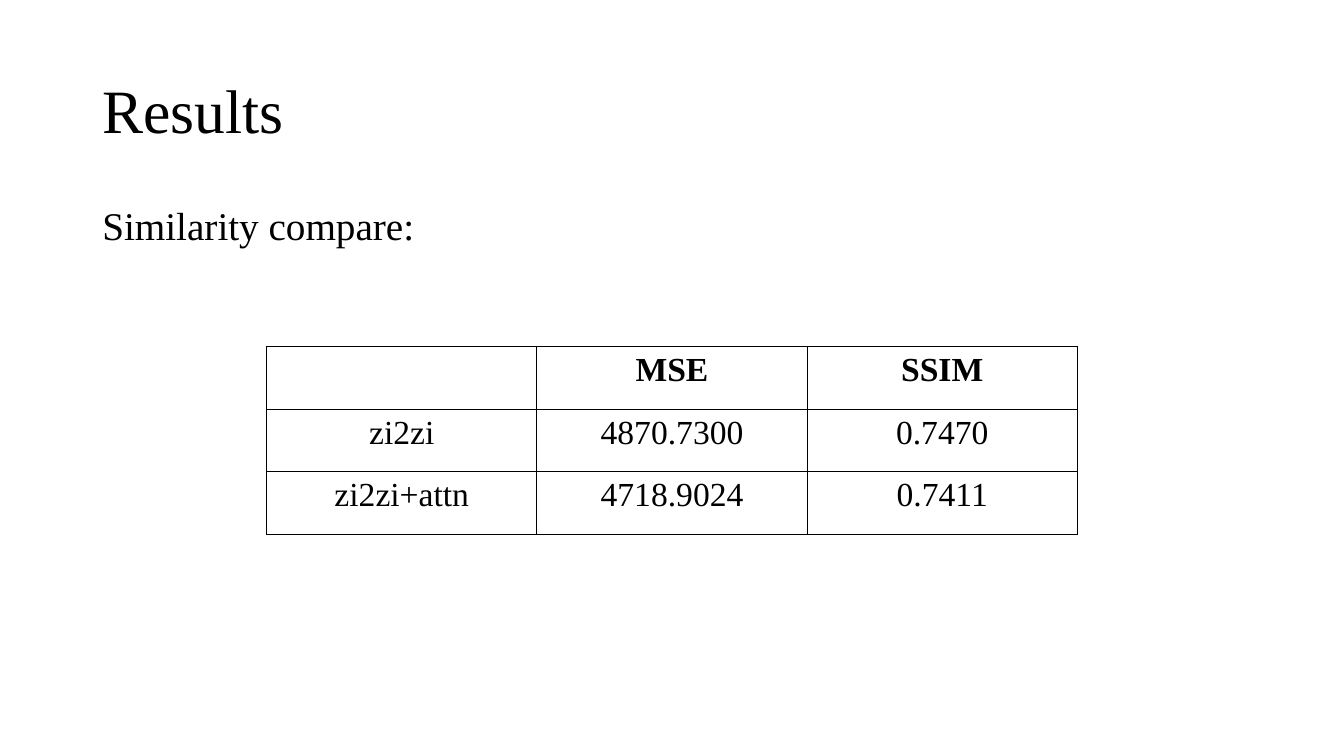
from lxml import etree
from pptx import Presentation
from pptx.dml.color import RGBColor as Rgb
from pptx.enum.text import MSO_ANCHOR as Anchor, PP_ALIGN as Align
from pptx.oxml import parse_xml
from pptx.oxml.ns import nsdecls
from pptx.util import Cm, Pt

INK = {"text": "000000", "line": "000000", "fill": "FFFFFF"}
FONT = "Times New Roman"


def style(para, size, bold=False):
    for run in para.runs:
        run.font.name = FONT
        run.font.size = Pt(size)
        run.font.bold = bold
        run.font.color.rgb = Rgb.from_string(INK["text"])


def edge(cell):
    """Draw a thin line on all four sides of a cell."""
    props = cell._tc.get_or_add_tcPr()
    for pos, side in enumerate("LRTB"):
        line = parse_xml(
            f'<a:ln{side} {nsdecls("a")} w="{Pt(1)}"><a:solidFill>'
            f'<a:srgbClr val="{INK["line"]}"/></a:solidFill></a:ln{side}>')
        props.insert(pos, line)


deck = Presentation()
deck.slide_width, deck.slide_height = Cm(33.87), Cm(19.05)
slide = deck.slides.add_slide(deck.slide_layouts[6])
slide.background.fill.solid()
slide.background.fill.fore_color.rgb = Rgb.from_string(INK["fill"])

# Title and lead line: text, top, height, size, space before, anchor
texts = [
    ("Results", 1.01, 3.68, 44, 0, Anchor.MIDDLE),
    ("Similarity compare:", 5.08, 12.09, 28, 10, Anchor.TOP),
]
for text, top, height, size, gap, anchor in texts:
    box = slide.shapes.add_textbox(Cm(2.33), Cm(top), Cm(29.21), Cm(height))
    frame = box.text_frame
    frame.word_wrap = True
    frame.vertical_anchor = anchor
    frame.text = text
    para = frame.paragraphs[0]
    para.line_spacing = 0.9
    para.space_before = Pt(gap)
    style(para, size)

# Table of scores
scores = [
    ["", "MSE", "SSIM"],
    ["zi2zi", "4870.7300", "0.7470"],
    ["zi2zi+attn", "4718.9024", "0.7411"],
]
wide, high = 6.81, 1.58
table = slide.shapes.add_table(
    len(scores), len(scores[0]), Cm(6.72), Cm(8.73),
    Cm(wide * len(scores[0])), Cm(high * len(scores))).table
for col in table.columns:
    col.width = Cm(wide)
for r, row in enumerate(scores):
    table.rows[r].height = Cm(high)
    for c, text in enumerate(row):
        cell = table.cell(r, c)
        cell.fill.solid()
        cell.fill.fore_color.rgb = Rgb.from_string(INK["fill"])
        edge(cell)
        para = cell.text_frame.paragraphs[0]
        para.text = text
        para.alignment = Align.CENTER
        style(para, 24, bold=r == 0)

deck.save("out.pptx")
